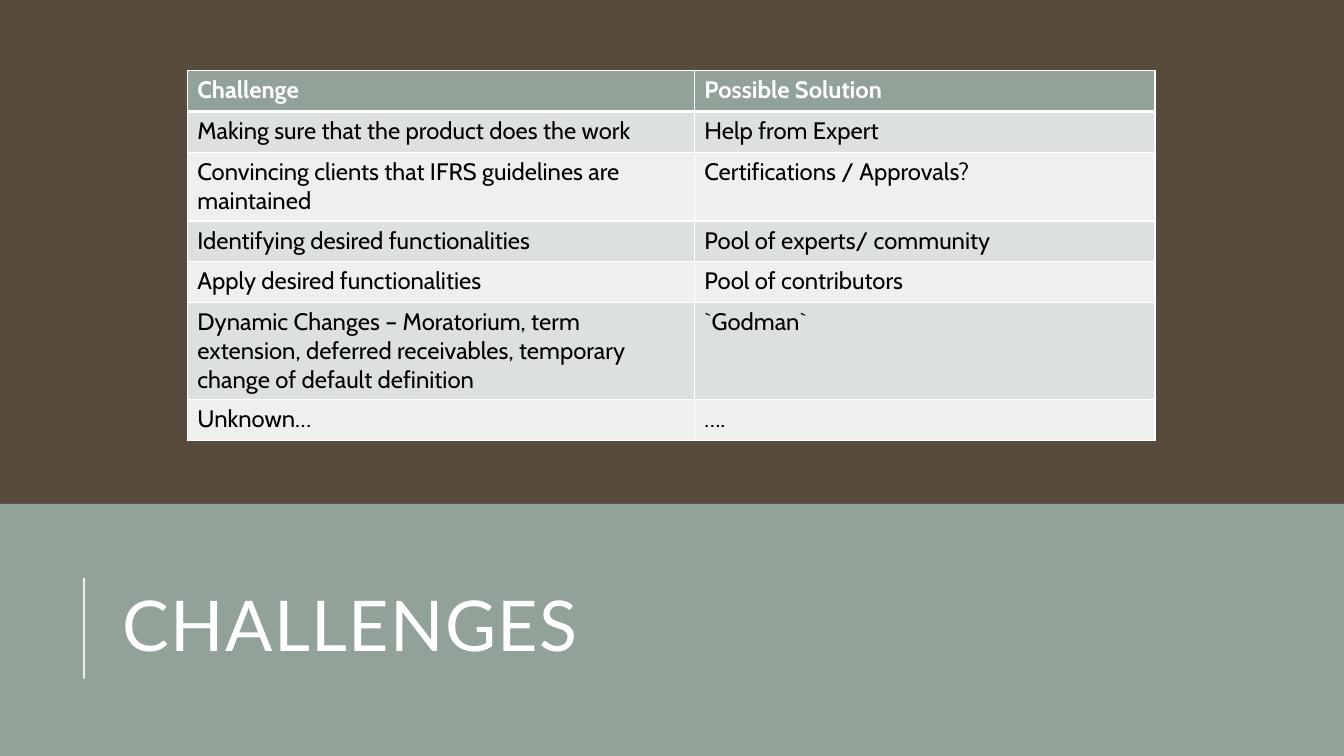
import pptx
import pptx.dml.color
import pptx.enum.shapes
import pptx.enum.text
import pptx.oxml
import pptx.oxml.ns
import pptx.util
import lxml.etree

COLORS = {
    "background": "564B3C",
    "accent": "93A299",
    "odd_row": "DCE0DE",
    "even_row": "EEF0EF",
    "white": "FFFFFF",
    "black": "000000",
}
COLUMNS, ROWS = 160, 90  # grid cells across and down the slide
TITLE_FONT, BODY_FONT = "Lato", "Cabin"


def rgb(name):
    return pptx.dml.color.RGBColor.from_string(COLORS[name])


class SlideBuilder:
    def __init__(self, presentation):
        self.width = presentation.slide_width
        self.height = presentation.slide_height
        self.slide = presentation.slides.add_slide(presentation.slide_layouts[5])
        fill = self.slide.background.fill
        fill.solid()
        fill.fore_color.rgb = rgb("background")

    def x(self, columns):
        return round(self.width * columns / COLUMNS)

    def y(self, rows):
        return round(self.height * rows / ROWS)

    def add_run(self, paragraph, text, font, size, color, bold=False):
        run = paragraph.add_run()
        run.text = text
        run.font.name = font
        run.font.size = pptx.util.Pt(size)
        run.font.bold = bold
        run.font.color.rgb = rgb(color)
        return run

    def band(self, top, color):
        shape = self.slide.shapes.add_shape(
            pptx.enum.shapes.MSO_SHAPE.RECTANGLE,
            0, self.y(top), self.width, self.height - self.y(top))
        shape.shadow.inherit = False
        shape.fill.solid()
        shape.fill.fore_color.rgb = rgb(color)
        shape.line.fill.background()
        # Keep the band behind the title
        self.slide.shapes.title.element.addprevious(shape.element)

    def title(self, text, left, top, width, height):
        shape = self.slide.shapes.title
        shape.left, shape.top = self.x(left), self.y(top)
        shape.width, shape.height = self.x(width), self.y(height)
        frame = shape.text_frame
        frame.word_wrap = True
        frame.auto_size = pptx.enum.text.MSO_AUTO_SIZE.NONE
        frame.vertical_anchor = pptx.enum.text.MSO_ANCHOR.MIDDLE
        paragraph = frame.paragraphs[0]
        paragraph.alignment = pptx.enum.text.PP_ALIGN.LEFT
        paragraph.line_spacing = 0.8
        run = self.add_run(paragraph, text, TITLE_FONT, 50, "white")
        run.font._element.set("spc", "100")

    def vertical_line(self, column, start, end, color, opacity):
        line = self.slide.shapes.add_connector(
            pptx.enum.shapes.MSO_CONNECTOR.STRAIGHT,
            self.x(column), self.y(start), self.x(column), self.y(end))
        line.line.width = pptx.util.Pt(1.5)
        line.line.color.rgb = rgb(color)
        properties = line.element.spPr
        color_element = properties.find(".//" + pptx.oxml.ns.qn("a:srgbClr"))
        alpha = lxml.etree.SubElement(color_element, pptx.oxml.ns.qn("a:alpha"))
        alpha.set("val", str(opacity * 1000))
        lxml.etree.SubElement(properties, pptx.oxml.ns.qn("a:effectLst"))

    def cell_borders(self, cell, color, widths):
        properties = cell._tc.get_or_add_tcPr()
        for index, (side, width) in enumerate(widths.items()):
            border = pptx.oxml.parse_xml(
                f'<a:ln{side} {pptx.oxml.ns.nsdecls("a")} w="{pptx.util.Pt(width)}">'
                f'<a:solidFill><a:srgbClr val="{COLORS[color]}"/></a:solidFill>'
                f'</a:ln{side}>')
            properties.insert(index, border)

    def table(self, records, left, top, widths, heights):
        table = self.slide.shapes.add_table(
            len(records), len(widths), self.x(left), self.y(top),
            self.x(sum(widths)), self.y(sum(heights))).table
        for column, width in zip(table.columns, widths):
            column.width = self.x(width)
        for row_index, (record, height) in enumerate(zip(records, heights)):
            table.rows[row_index].height = self.y(height)
            header = row_index == 0
            banding = "odd_row" if row_index % 2 else "even_row"
            for column_index, text in enumerate(record):
                cell = table.cell(row_index, column_index)
                cell.fill.solid()
                cell.fill.fore_color.rgb = rgb("accent" if header else banding)
                self.add_run(cell.text_frame.paragraphs[0], text, BODY_FONT, 17,
                             "white" if header else "black", header)
                self.cell_borders(cell, "white", {
                    "L": 1, "R": 1,
                    "T": 3 if row_index == 1 else 1,
                    "B": 3 if header else 1})


presentation = pptx.Presentation()
presentation.slide_width = pptx.util.Inches(13.333)
presentation.slide_height = pptx.util.Inches(7.5)
builder = SlideBuilder(presentation)

# Title band
builder.band(60, "accent")
builder.title("CHALLENGES", 13.4, 65.3, 127.6, 19.7)
builder.vertical_line(10, 80.8, 68.8, "white", 80)

# Challenges and solutions
challenges = [
    ("Challenge", "Possible Solution"),
    ("Making sure that the product does the work", "Help from Expert"),
    ("Convincing clients that IFRS guidelines are maintained",
     "Certifications / Approvals?"),
    ("Identifying desired functionalities", "Pool of experts/ community"),
    ("Apply desired functionalities", "Pool of contributors"),
    ("Dynamic Changes – Moratorium, term extension, deferred receivables, "
     "temporary change of default definition", "`Godman`"),
    ("Unknown…", "…."),
]
one_line, two_lines, three_lines = 4.86, 8.2, 11.5
builder.table(challenges, 22.3, 8.4, [60.36, 54.84],
              [one_line, one_line, two_lines, one_line, one_line,
               three_lines, one_line])

presentation.save("out.pptx")
